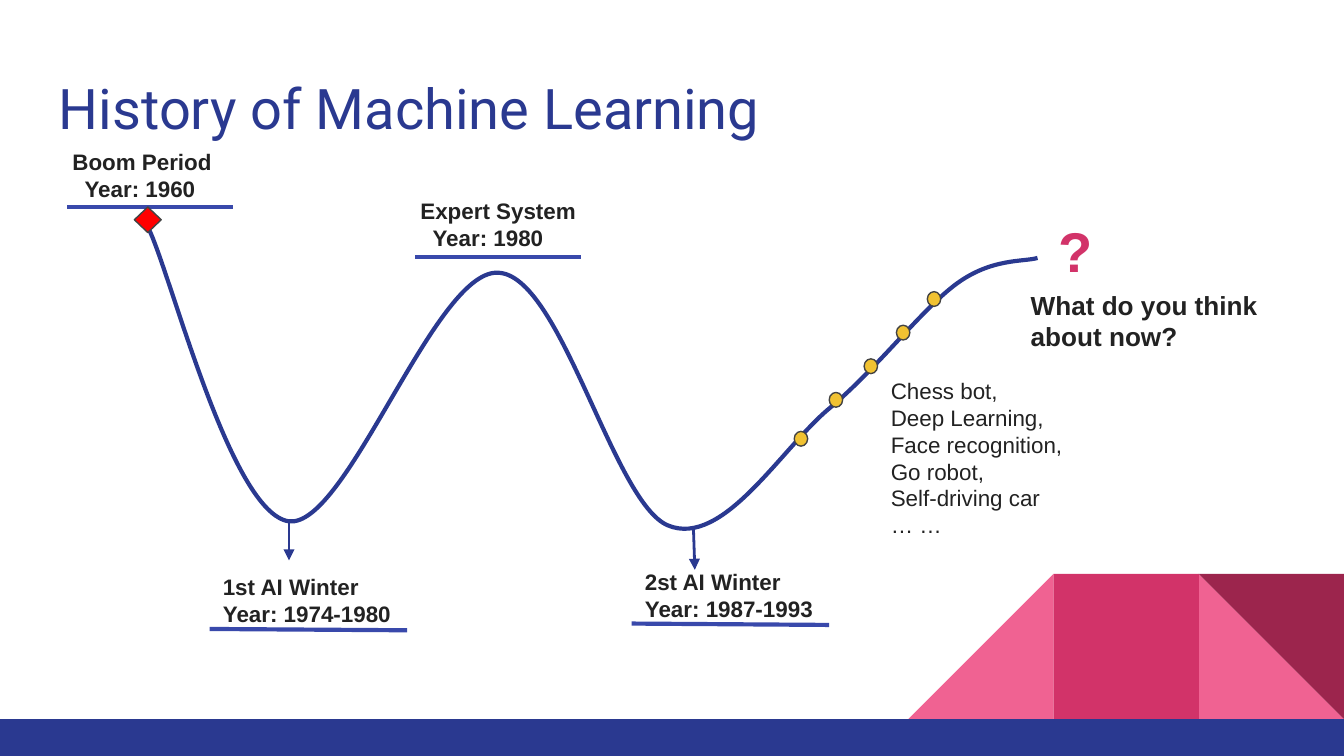
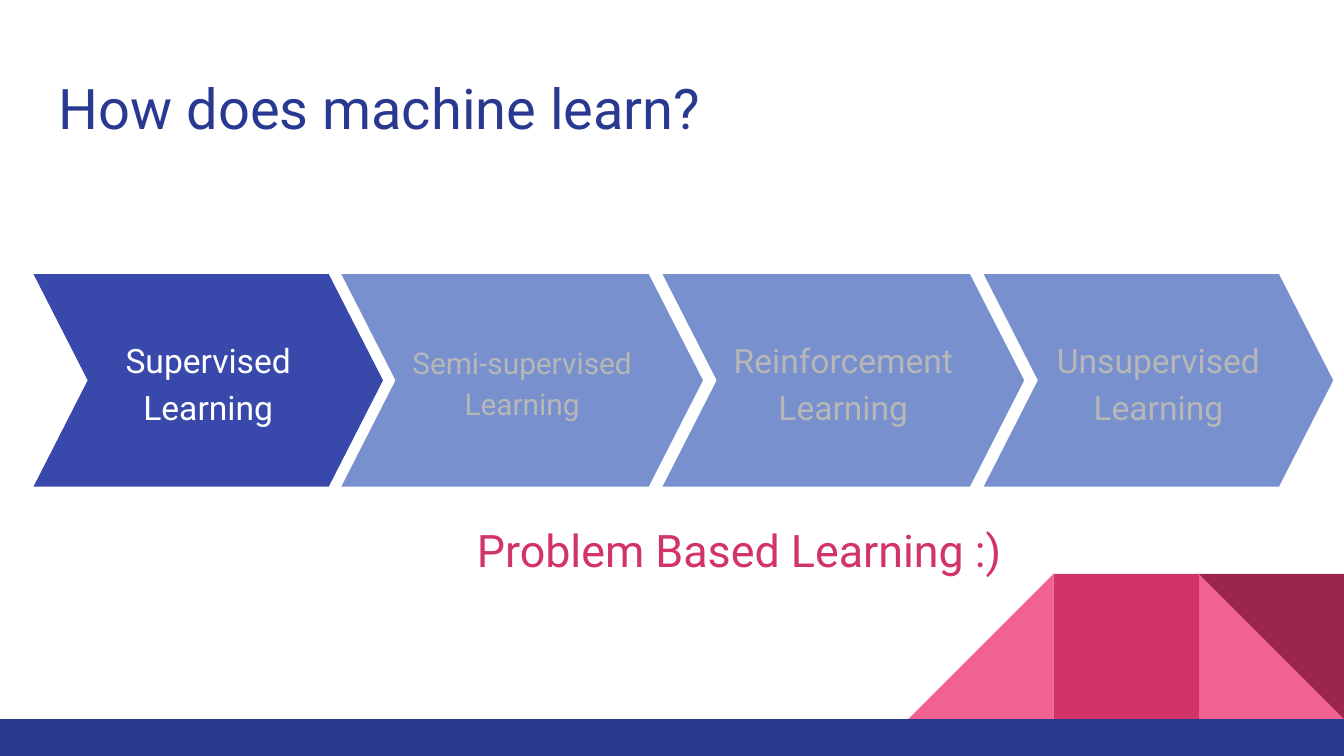
from dataclasses import dataclass

from lxml.etree import SubElement
from pptx import Presentation
from pptx.dml.color import RGBColor
from pptx.enum.shapes import MSO_CONNECTOR, MSO_SHAPE
from pptx.enum.text import MSO_ANCHOR, PP_ALIGN
from pptx.oxml.ns import qn
from pptx.util import Inches, Pt


@dataclass(frozen=True)
class Theme:
    navy: str = "2A3990"
    indigo: str = "3949AB"
    pale_blue: str = "7890CD"
    pink: str = "F06292"
    magenta: str = "D23369"
    wine: str = "9C254D"
    red: str = "FF0000"
    gold: str = "F1C232"
    outline: str = "434343"
    ink: str = "222222"
    white: str = "FFFFFF"
    muted: str = "B7B7B7"
    heading: str = "Roboto"
    body: str = "Arial"
    title_size: int = 30
    subtitle_size: int = 24
    step_size: int = 18
    small_step_size: int = 16
    question_size: int = 14
    label_size: int = 12


theme = Theme()


def add_figure(page, kind, place, fill, line=None):
    figure = page.shapes.add_shape(kind, *map(Inches, place))
    figure.shadow.inherit = False
    figure.fill.solid()
    figure.fill.fore_color.rgb = RGBColor.from_string(fill)
    if line:
        figure.line.color.rgb = RGBColor.from_string(line)
        figure.line.width = Pt(0.75)
    else:
        figure.line.fill.background()
    return figure


def write(box, lines, size, color, font, bold=False, anchor=MSO_ANCHOR.MIDDLE, lift=0):
    """Fill a box, one paragraph per line; lift adds to the bottom inset."""
    frame = box.text_frame
    frame.word_wrap = True
    frame.vertical_anchor = anchor
    frame.margin_left = frame.margin_right = frame.margin_top = Inches(0.1)
    frame.margin_bottom = Inches(0.1 + lift)
    for number, line in enumerate(lines):
        para = frame.add_paragraph() if number else frame.paragraphs[0]
        span = para.add_run()
        span.text = line
        span.font.name = font
        span.font.size = Pt(size)
        span.font.bold = bold
        span.font.color.rgb = RGBColor.from_string(color)
    return frame.paragraphs


deck = Presentation()
deck.slide_width = Inches(10)
deck.slide_height = Inches(5.625)

# Shared title, corner pattern and bottom band
TILE = 1.08
TILE_TOP = 4.27
pages = []
for title in ("History of Machine Learning", "How does machine learn?"):
    page = deck.slides.add_slide(deck.slide_layouts[6])
    pages.append(page)
    for kind, left, color, rotation, flipped in (
        (MSO_SHAPE.RIGHT_TRIANGLE, 8.92, theme.pink, 0, False),
        (MSO_SHAPE.RIGHT_TRIANGLE, 6.76, theme.pink, 0, True),
        (MSO_SHAPE.RECTANGLE, 7.84, theme.magenta, 0, False),
        (MSO_SHAPE.RIGHT_TRIANGLE, 8.92, theme.wine, 180, False),
    ):
        tile = add_figure(page, kind, (left, TILE_TOP, TILE, TILE), color)
        tile.rotation = rotation
        if flipped:
            tile.element.spPr.find(qn("a:xfrm")).set("flipH", "1")
    add_figure(page, MSO_SHAPE.RECTANGLE, (0, 5.35, 10, 0.28), theme.navy)
    box = page.shapes.add_textbox(*map(Inches, (0.34, 0.45, 9.32, 0.66)))
    write(box, [title], theme.title_size, theme.navy, theme.heading, anchor=MSO_ANCHOR.TOP)

history, methods = pages

# History curve: each segment is two control points and an end point
start = (1.11, 1.71)
segments = (
    ((1.28, 2.07), (1.72, 3.82), (2.15, 3.88)),
    ((2.58, 3.93), (3.23, 2.02), (3.7, 2.03)),
    ((4.17, 2.03), (4.56, 3.74), (4.97, 3.91)),
    ((5.38, 4.08), (5.81, 3.34), (6.17, 3.04)),
    ((6.53, 2.74), (6.86, 2.3), (7.12, 2.11)),
    ((7.38, 1.92), (7.62, 1.95), (7.72, 1.92)),
)
builder = history.shapes.build_freeform(*map(Inches, start))
builder.add_line_segments([tuple(map(Inches, s[-1])) for s in segments], close=False)
curve = builder.convert_to_shape()
curve.shadow.inherit = False
curve.fill.background()
curve.line.color.rgb = RGBColor.from_string(theme.navy)
curve.line.width = Pt(2.25)
# The builder makes straight segments, so bend each one into a Bezier
for straight, segment in zip(list(curve.element.iter(qn("a:lnTo"))), segments):
    straight.tag = qn("a:cubicBezTo")
    straight.remove(straight[0])
    for x, y in segment:
        SubElement(straight, qn("a:pt"), x=str(Inches(x) - curve.left), y=str(Inches(y) - curve.top))

# Label underlines and arrows down to the winters
for x1, y1, x2, y2, is_arrow in (
    (0.5, 1.54, 1.73, 1.54, False),
    (1.56, 4.68, 3.03, 4.69, False),
    (2.15, 3.87, 2.15, 4.17, True),
    (4.7, 4.64, 6.17, 4.65, False),
    (5.16, 3.94, 5.17, 4.24, True),
    (3.09, 1.91, 4.32, 1.91, False),
):
    link = history.shapes.add_connector(MSO_CONNECTOR.STRAIGHT, *map(Inches, (x1, y1, x2, y2)))
    link.line.color.rgb = RGBColor.from_string(theme.navy if is_arrow else theme.indigo)
    link.line.width = Pt(1.5 if is_arrow else 2.25)
    if is_arrow:
        SubElement(link.line._get_or_add_ln(), qn("a:tailEnd"), type="triangle")
    SubElement(link.element.spPr, qn("a:effectLst"))

add_figure(history, MSO_SHAPE.DIAMOND, (1, 1.54, 0.2, 0.19), theme.red, theme.outline)
for left, top in ((5.91, 3.21), (6.17, 2.92), (6.43, 2.67), (6.67, 2.42), (6.9, 2.17)):
    add_figure(history, MSO_SHAPE.OVAL, (left, top, 0.1, 0.11), theme.gold, theme.outline)

LINE = 0.19
for place, lines, year_indent in (
    ((0.44, 1.17, 1.32, 0.46), ("Boom Period", "Year: 1960"), 0.09),
    ((1.56, 4.33, 1.67, 0.46), ("1st AI Winter", "Year: 1974-1980"), 0),
    ((4.7, 4.29, 1.67, 0.46), ("2st AI Winter", "Year: 1987-1993"), 0),
    ((3.03, 1.53, 1.53, 0.46), ("Expert System", "Year: 1980"), 0.09),
):
    box = history.shapes.add_textbox(*map(Inches, place))
    paragraphs = write(box, lines, theme.label_size, theme.ink, theme.body, bold=True, lift=LINE)
    paragraphs[1]._p.get_or_add_pPr().set("marL", str(Inches(year_indent)))

box = history.shapes.add_textbox(*map(Inches, (7.57, 2.12, 2.04, 0.72)))
write(box, ["What do you think about now?"], theme.question_size, theme.ink, theme.body,
      bold=True, lift=LINE)
box = history.shapes.add_textbox(*map(Inches, (7.78, 1.51, 0.65, 0.46)))
write(box, ["?"], theme.title_size, theme.magenta, theme.body, bold=True, anchor=MSO_ANCHOR.TOP)
box = history.shapes.add_textbox(*map(Inches, (6.53, 3.04, 1.67, 1.11)))
milestones = ("Chess bot,", "Deep Learning,", "Face recognition,", "Go robot,",
              "Self-driving car", "… …")
write(box, milestones, theme.label_size, theme.ink, theme.body, lift=2 * LINE)

# Chevron row of learning methods
for left, width, label, size, fill, color in (
    (0.25, 2.6, "Supervised Learning", theme.step_size, theme.indigo, theme.white),
    (2.54, 2.69, "Semi-supervised Learning", theme.small_step_size, theme.pale_blue, theme.muted),
    (4.93, 2.69, "Reinforcement Learning", theme.step_size, theme.pale_blue, theme.muted),
    (7.32, 2.6, "Unsupervised Learning", theme.step_size, theme.pale_blue, theme.muted),
):
    chevron = add_figure(methods, MSO_SHAPE.CHEVRON, (left, 2.04, width, 1.58), fill)
    chevron.adjustments[0] = 0.255
    para = write(chevron, [label], size, color, theme.heading)[0]
    para.alignment = PP_ALIGN.CENTER
    para.line_spacing = 1.15
    para.space_after = Pt(16)

box = methods.shapes.add_textbox(*map(Inches, (3.45, 3.79, 4.36, 0.68)))
write(box, ["Problem Based Learning :)"], theme.subtitle_size, theme.magenta, theme.heading,
      anchor=MSO_ANCHOR.TOP)

deck.save("out.pptx")
